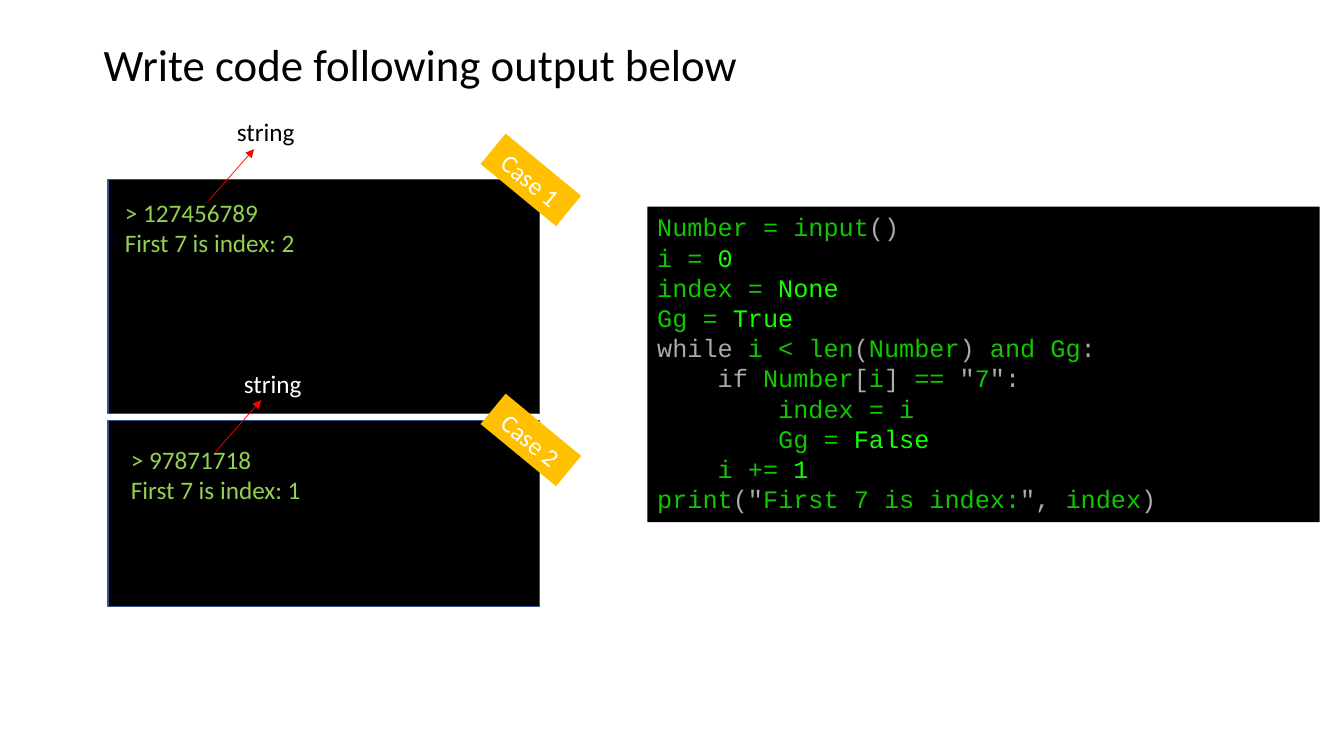
from lxml import etree
from pptx import Presentation
from pptx.dml.color import RGBColor
from pptx.enum.shapes import MSO_CONNECTOR, MSO_SHAPE
from pptx.enum.text import MSO_ANCHOR, MSO_AUTO_SIZE, PP_ALIGN
from pptx.oxml.ns import qn
from pptx.util import Inches, Pt

RECT, STRAIGHT = MSO_SHAPE.RECTANGLE, MSO_CONNECTOR.STRAIGHT
TOP, MIDDLE = MSO_ANCHOR.TOP, MSO_ANCHOR.MIDDLE
LEFT, CENTER = PP_ALIGN.LEFT, PP_ALIGN.CENTER
GROW = MSO_AUTO_SIZE.SHAPE_TO_FIT_TEXT

BLACK, WHITE, RED, ORANGE = "000000", "FFFFFF", "FF0000", "FFC000"
LIME, BORDER = "92D050", "325491"
NAME, MARK, VALUE = "11C700", "AAAAAA", "15FF00"

TITLE = "Write code following output below"
CASES = [
    dict(tag="Case 1", output=["> 127456789", "First 7 is index: 2"], label=BLACK,
         top=1.78, height=2.32, text=(1.14, 1.91, 3.82), tag_top=1.59, arrow=(2.07, 1.99)),
    dict(tag="Case 2", output=["> 97871718", "First 7 is index: 1"], label=WHITE,
         top=4.17, height=1.85, text=(1.2, 4.36, 1.91), tag_top=4.17, arrow=(2.14, 4.48)),
]
CODE = [
    (0, [("Number = input", NAME), ("()", MARK)]),
    (0, [("i = ", NAME), ("0", VALUE)]),
    (0, [("index = ", NAME), ("None", VALUE)]),
    (0, [("Gg = ", NAME), ("True", VALUE)]),
    (0, [("while", MARK), (" i < len", NAME), ("(", MARK), ("Number", NAME),
         (")", MARK), (" and Gg", NAME), (":", MARK)]),
    (1, [("if", MARK), (" Number", NAME), ("[", MARK), ("i", NAME), ("]", MARK),
         (" == ", NAME), ('"', MARK), ("7", NAME), ('":', MARK)]),
    (2, [("index = i", NAME)]),
    (2, [("Gg = ", NAME), ("False", VALUE)]),
    (1, [("i += ", NAME), ("1", VALUE)]),
    (0, [("print", NAME), ('("', MARK), ("First 7 is index:", NAME), ('",', MARK),
         (" index", NAME), (")", MARK)]),
]
INDENT = Inches(0.6)
PANEL_X, PANEL_W = 1.07, 4.28
TAG_X, TAG_W, TAG_H, TAG_ANGLE = 4.78, 0.97, 0.39, 39.5
ARROW_DX, ARROW_DY = 0.45, -0.51
LABEL_DX, LABEL_DY = 0.18, -0.88


def color(value):
    return RGBColor.from_string(value)


def write(sp, lines, size=18, font="Calibri", align=LEFT, anchor=TOP, wrap=True, grow=True):
    tf = sp.text_frame
    tf.word_wrap = wrap
    tf.vertical_anchor = anchor
    if grow:
        tf.auto_size = GROW
    for n, (level, runs) in enumerate(lines):
        p = tf.paragraphs[0] if n == 0 else tf.add_paragraph()
        p.alignment = align
        if level:
            p._p.get_or_add_pPr().set("marL", str(level * INDENT))
        for text, ink in runs:
            r = p.add_run()
            r.text = text
            r.font.size = Pt(size)
            r.font.name = font
            r.font.color.rgb = color(ink)


def add_text(box, texts, ink, **style):
    sp = s.shapes.add_textbox(*map(Inches, box))
    write(sp, [(0, [(text, ink)]) for text in texts], **style)


def add_rect(box, fill, line=None):
    sp = s.shapes.add_shape(RECT, *map(Inches, box))
    sp.shadow.inherit = False
    sp.fill.solid()
    sp.fill.fore_color.rgb = color(fill)
    if line:
        sp.line.color.rgb = color(line)
        sp.line.width = Pt(1)
    else:
        sp.line.fill.background()
    return sp


def add_arrow(x, y):
    ends = (x, y, x + ARROW_DX, y + ARROW_DY)
    cx = s.shapes.add_connector(STRAIGHT, *map(Inches, ends))
    cx.line.color.rgb = color(RED)
    cx.line.width = Pt(0.5)
    etree.SubElement(cx.line._get_or_add_ln(), qn("a:tailEnd"), type="triangle")
    etree.SubElement(cx._element.spPr, qn("a:effectLst"))


prs = Presentation()
prs.slide_width, prs.slide_height = Inches(13.33), Inches(7.5)
s = prs.slides.add_slide(prs.slide_layouts[6])

add_text((0.93, 0.32, 6.55, 0.64), [TITLE], BLACK, size=32, wrap=False)

for case in CASES:
    add_rect((PANEL_X, case["top"], PANEL_W, case["height"]), BLACK, BORDER)
    add_text((*case["text"], 0.71), case["output"], LIME)
    tag = add_rect((TAG_X, case["tag_top"], TAG_W, TAG_H), ORANGE)
    tag.rotation = TAG_ANGLE
    write(tag, [(0, [(case["tag"], WHITE)])], align=CENTER, anchor=MIDDLE, grow=False)
    x, y = case["arrow"]
    add_arrow(x, y)
    add_text((x + LABEL_DX, y + LABEL_DY, 0.78, 0.4), ["string"], case["label"], wrap=False)

write(add_rect((6.42, 2.05, 6.67, 3.13), BLACK), CODE, font="Courier New")

prs.save("out.pptx")
